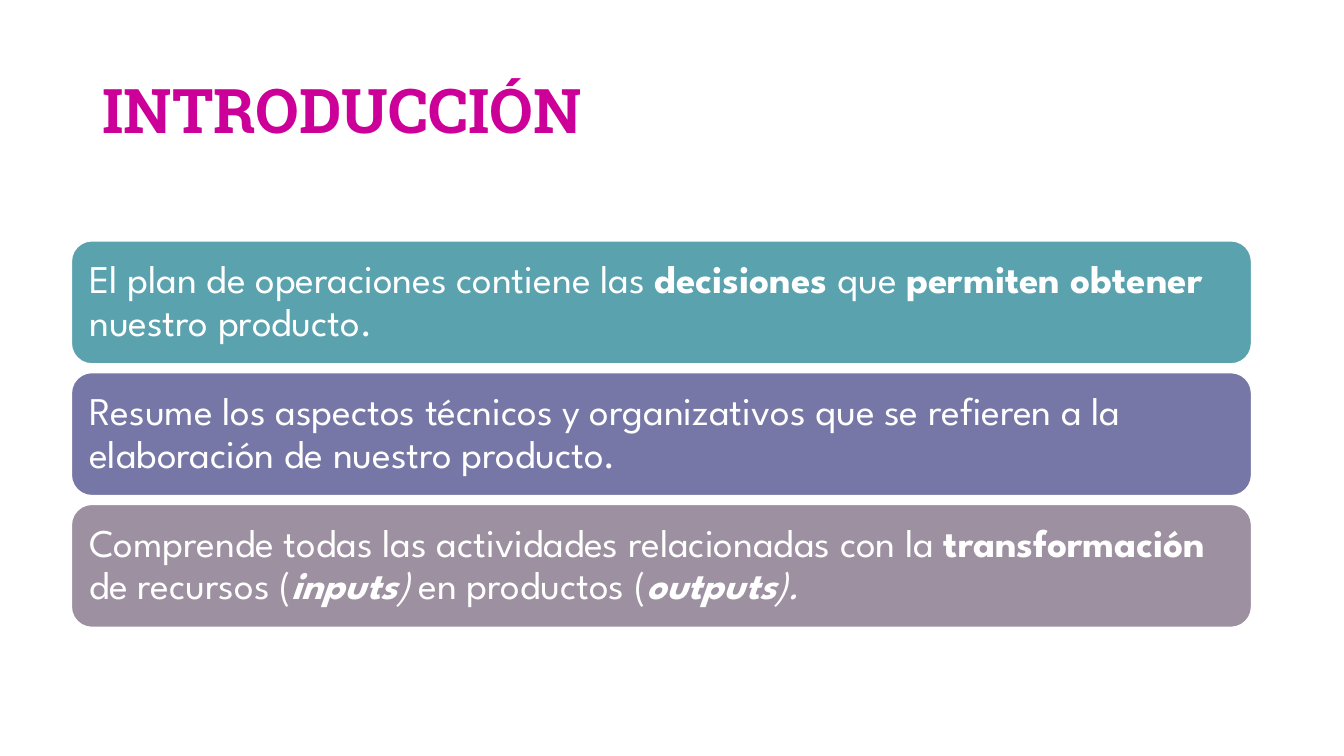
from pptx import Presentation
from pptx.dml.color import RGBColor
from pptx.enum.shapes import MSO_SHAPE
from pptx.enum.text import MSO_ANCHOR, PP_ALIGN
from pptx.util import Cm, Pt

COLORS = {"title": "CC0099", "white": "FFFFFF", "teal": "5AA2AE",
          "violet": "7677A6", "mauve": "9D90A0"}
BOLD = {"bold": True}
ITALIC = {"italic": True}
BOLD_ITALIC = {"bold": True, "italic": True}

CARDS = [
    ("teal", [("El plan de operaciones contiene las ", {}), ("decisiones", BOLD),
              (" que ", {}), ("permiten obtener", BOLD), (" nuestro producto.", {})]),
    ("violet", [("Resume los aspectos técnicos y organizativos que se refieren a la "
                 "elaboración de nuestro producto.", {})]),
    ("mauve", [("Comprende todas las actividades relacionadas con la ", {}),
               ("transformación", BOLD), (" de recursos (", {}),
               ("inputs", BOLD_ITALIC), (") ", ITALIC), ("en productos (", {}),
               ("outputs", BOLD_ITALIC), (").", ITALIC)]),
]


class Deck:
    """Holds the style and the current slide."""

    title_font = {"name": "Roboto Slab", "size": Pt(44), "bold": True}
    card_font = {"name": "League Spartan", "size": Pt(28)}

    def __init__(self):
        self.prs = Presentation()
        self.prs.slide_width, self.prs.slide_height = Cm(33.87), Cm(19.05)
        self.s = self.prs.slides.add_slide(self.prs.slide_layouts[5])

    def color(self, key):
        return RGBColor.from_string(COLORS[key])

    def fill_text(self, sp, runs, font, color):
        tf = sp.text_frame
        tf.word_wrap = True
        tf.vertical_anchor = MSO_ANCHOR.MIDDLE
        p = tf.paragraphs[0]
        p.alignment = PP_ALIGN.LEFT
        p.line_spacing = 0.9
        for text, extra in runs:
            r = p.add_run()
            r.text = text
            for name, value in {**font, **extra}.items():
                setattr(r.font, name, value)
            r.font.color.rgb = self.color(color)

    def title(self, text, left, top, width, height):
        sp = self.s.shapes.title
        sp.left, sp.top, sp.width, sp.height = map(Cm, (left, top, width, height))
        self.fill_text(sp, [(text, {})], self.title_font, "title")

    def card(self, runs, fill, left, top, width, height):
        sp = self.s.shapes.add_shape(MSO_SHAPE.ROUNDED_RECTANGLE,
                                     *map(Cm, (left, top, width, height)))
        sp.shadow.inherit = False
        sp.fill.solid()
        sp.fill.fore_color.rgb = self.color(fill)
        sp.line.color.rgb = self.color("white")
        sp.line.width = Pt(1)
        for side in ("left", "top", "right", "bottom"):
            setattr(sp.text_frame, f"margin_{side}", Cm(0.3))
        self.fill_text(sp, runs, self.card_font, "white")


def main():
    deck = Deck()
    deck.title("INTRODUCCIÓN", 2.33, 1.01, 29.21, 3.68)
    for i, (fill, runs) in enumerate(CARDS):
        deck.card(runs, fill, 1.8, 6.07 + i * 3.32, 29.74, 3.1)
    deck.prs.save("out.pptx")


if __name__ == "__main__":
    main()
